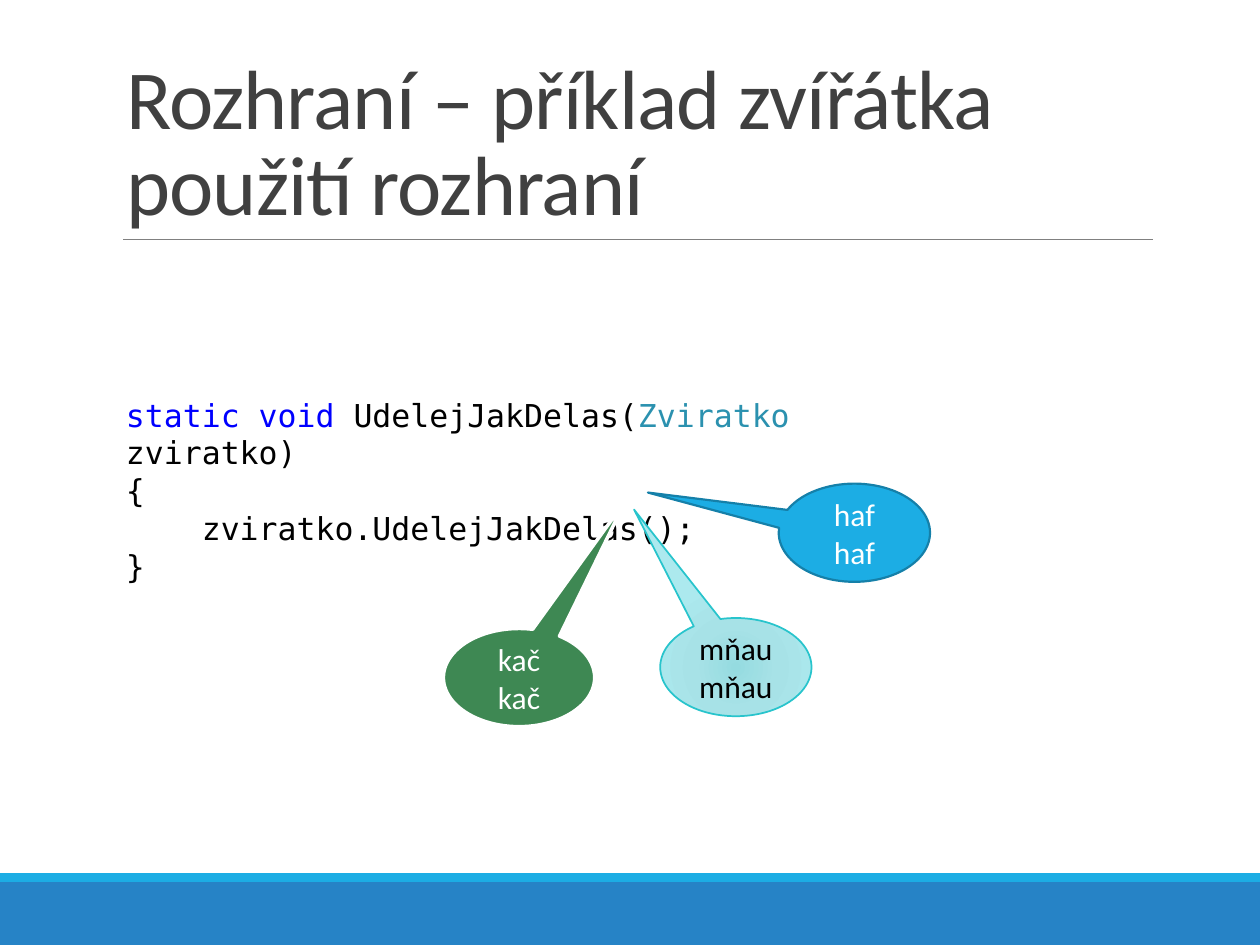
import pptx
import pptx.dml.color
import pptx.enum.shapes
import pptx.enum.text
import pptx.oxml
import pptx.oxml.ns
import pptx.util
from lxml import etree

Cm, Pt = pptx.util.Cm, pptx.util.Pt
SLIDE_WIDTH, SLIDE_HEIGHT = 25.4, 19.05
BODY_FONT, CODE_FONT = "Calibri", "DejaVu Sans Mono"
BLACK, WHITE, KEYWORD, TYPE = "000000", "FFFFFF", "0000FF", "2B91AF"

HEADING = "Rozhraní – příklad zvířátka\vpoužití rozhraní"
CODE = [
    [("static", KEYWORD), (" ", BLACK), ("void", KEYWORD),
     (" UdelejJakDelas(", BLACK), ("Zviratko", TYPE), (" zviratko)", BLACK)],
    [("{", BLACK)],
    [("    zviratko.UdelejJakDelas();", BLACK)],
    [("}", BLACK)],
]
MEOW_GRADIENT = [(0, "95DBE0"), (45, "A7E2E7"), (100, "ACE9EE")]
# sound, left, top, tail tip, fill, outline, outline width, text colour
SOUNDS = [
    ("haf haf", 15.7, 9.75, (-1.365, -0.409), "1CADE4", "1580A9", 1.25, WHITE),
    ("mňau mňau", 13.31, 12.46, (-0.673, -1.605), MEOW_GRADIENT, "28C4CC", 1, BLACK),
    ("kač kač", 8.94, 12.67, (0.703, -1.8), "3E8853", WHITE, 2, WHITE),
]
SOUND_WIDTH, SOUND_HEIGHT = 3.05, 1.98
# top, height, colour
FOOTER_BANDS = [(17.78, 1.27, "2683C6"), (17.6, 0.18, "1CADE4")]


def rgb(hex_colour):
    return pptx.dml.color.RGBColor.from_string(hex_colour)


def place(shape, left, top, width, height):
    shape.left, shape.top = Cm(left), Cm(top)
    shape.width, shape.height = Cm(width), Cm(height)


def format_font(font, name, size, colour):
    font.name, font.size = name, Pt(size)
    font.color.rgb = rgb(colour)


def fill_radially(shape, stops):
    """Give the shape a circular gradient, which python-pptx cannot set."""
    stop_xml = "".join(
        f'<a:gs pos="{position * 1000}"><a:srgbClr val="{colour}"/></a:gs>'
        for position, colour in stops)
    gradient = pptx.oxml.parse_xml(
        f'<a:gradFill {pptx.oxml.ns.nsdecls("a")} rotWithShape="1">'
        f'<a:gsLst>{stop_xml}</a:gsLst><a:path path="circle">'
        '<a:fillToRect l="100000" t="100000" r="100000" b="100000"/>'
        '</a:path></a:gradFill>')
    shape.fill.background()
    properties = shape.element.spPr
    properties.replace(properties.find(pptx.oxml.ns.qn("a:noFill")), gradient)


def add_footer(slide):
    for top, height, colour in FOOTER_BANDS:
        band = slide.shapes.add_shape(
            pptx.enum.shapes.MSO_SHAPE.RECTANGLE,
            0, Cm(top), Cm(SLIDE_WIDTH), Cm(height))
        band.shadow.inherit = False
        band.fill.solid()
        band.fill.fore_color.rgb = rgb(colour)
        band.line.fill.background()


def add_heading(slide):
    rule = slide.shapes.add_connector(
        pptx.enum.shapes.MSO_CONNECTOR.STRAIGHT,
        Cm(2.48), Cm(4.82), Cm(23.24), Cm(4.82))
    rule.line.color.rgb = rgb("808080")
    rule.line.width = Pt(0.5)
    etree.SubElement(rule.element.spPr, pptx.oxml.ns.qn("a:effectLst"))

    heading = slide.shapes.title
    place(heading, 2.29, 0.79, 20.95, 4.03)
    frame = heading.text_frame
    frame.text = HEADING
    frame.vertical_anchor = pptx.enum.text.MSO_ANCHOR.BOTTOM
    frame.auto_size = pptx.enum.text.MSO_AUTO_SIZE.NONE
    paragraph = frame.paragraphs[0]
    paragraph.alignment = pptx.enum.text.PP_ALIGN.LEFT
    paragraph.line_spacing = 0.85
    for run in paragraph.runs:
        format_font(run.font, BODY_FONT, 48, "404040")
        run.font._element.set("spc", "-50")


def add_code(slide):
    listing = slide.shapes.add_textbox(Cm(2.29), Cm(7.85), Cm(16.81), Cm(3.33))
    frame = listing.text_frame
    frame.word_wrap = True
    for index, line in enumerate(CODE):
        paragraph = frame.add_paragraph() if index else frame.paragraphs[0]
        for text, colour in line:
            run = paragraph.add_run()
            run.text = text
            format_font(run.font, CODE_FONT, 18, colour)


def add_sound(slide, sound, left, top, tip, fill, outline, outline_width, colour):
    callout = slide.shapes.add_shape(
        pptx.enum.shapes.MSO_SHAPE.OVAL_CALLOUT,
        Cm(left), Cm(top), Cm(SOUND_WIDTH), Cm(SOUND_HEIGHT))
    callout.adjustments[0], callout.adjustments[1] = tip
    callout.shadow.inherit = False
    if isinstance(fill, list):
        fill_radially(callout, fill)
    else:
        callout.fill.solid()
        callout.fill.fore_color.rgb = rgb(fill)
    callout.line.color.rgb = rgb(outline)
    callout.line.width = Pt(outline_width)
    frame = callout.text_frame
    frame.text = sound
    frame.word_wrap = True
    frame.vertical_anchor = pptx.enum.text.MSO_ANCHOR.MIDDLE
    paragraph = frame.paragraphs[0]
    paragraph.alignment = pptx.enum.text.PP_ALIGN.CENTER
    format_font(paragraph.runs[0].font, BODY_FONT, 18, colour)


def main():
    deck = pptx.Presentation()
    deck.slide_width, deck.slide_height = Cm(SLIDE_WIDTH), Cm(SLIDE_HEIGHT)
    slide = deck.slides.add_slide(deck.slide_layouts.get_by_name("Title Only"))
    add_footer(slide)
    add_heading(slide)
    add_code(slide)
    for sound in SOUNDS:
        add_sound(slide, *sound)
    deck.save("out.pptx")


if __name__ == "__main__":
    main()
